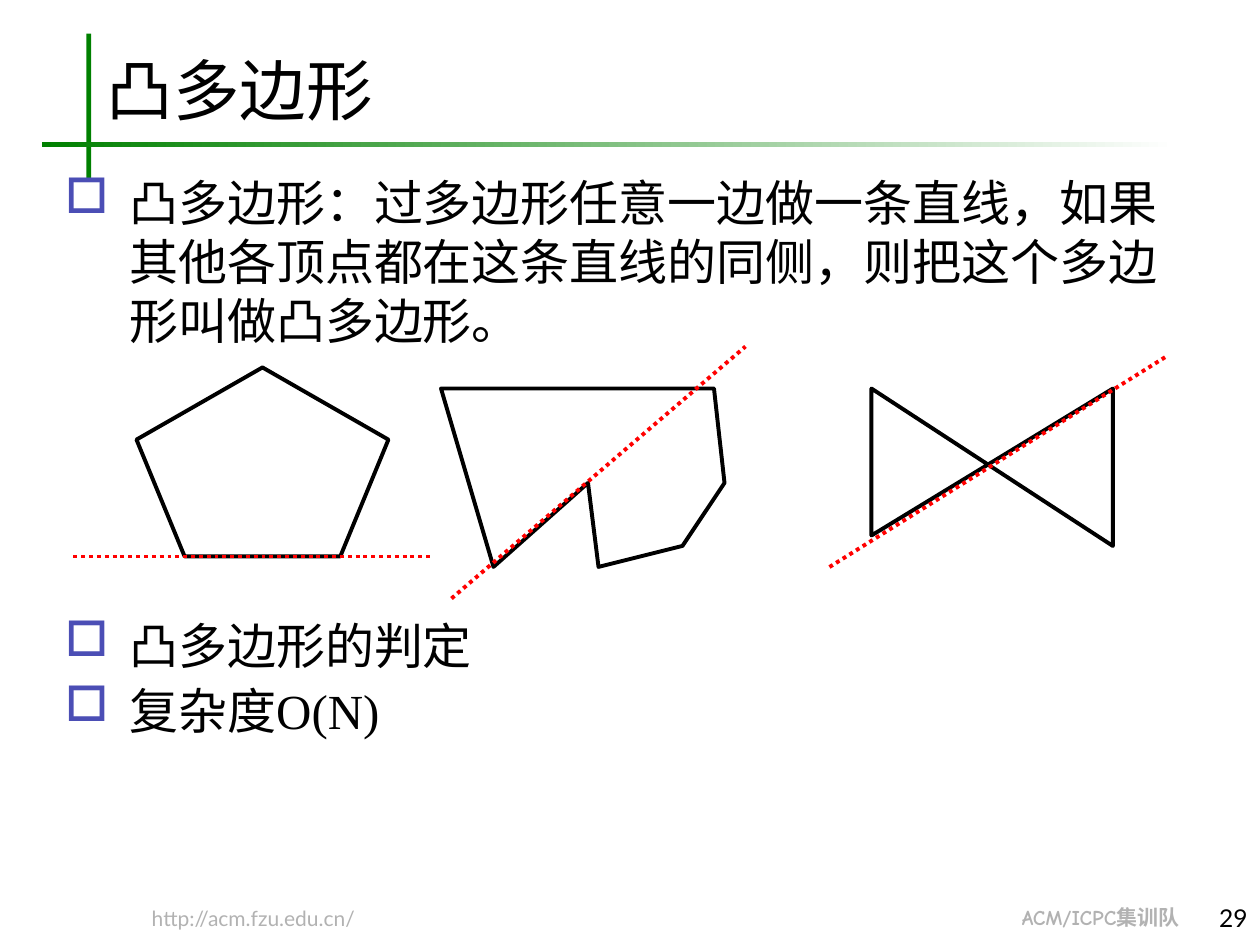
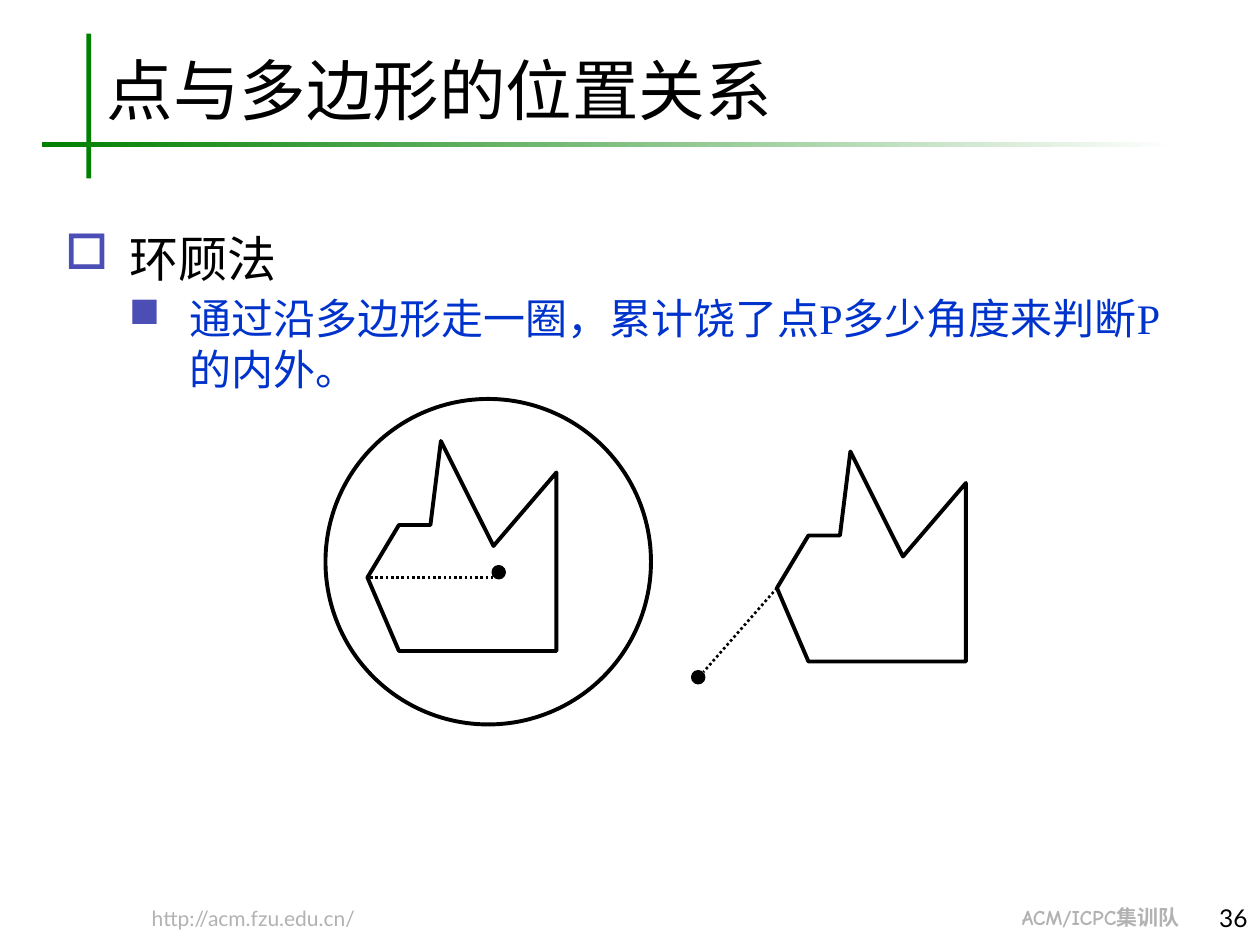
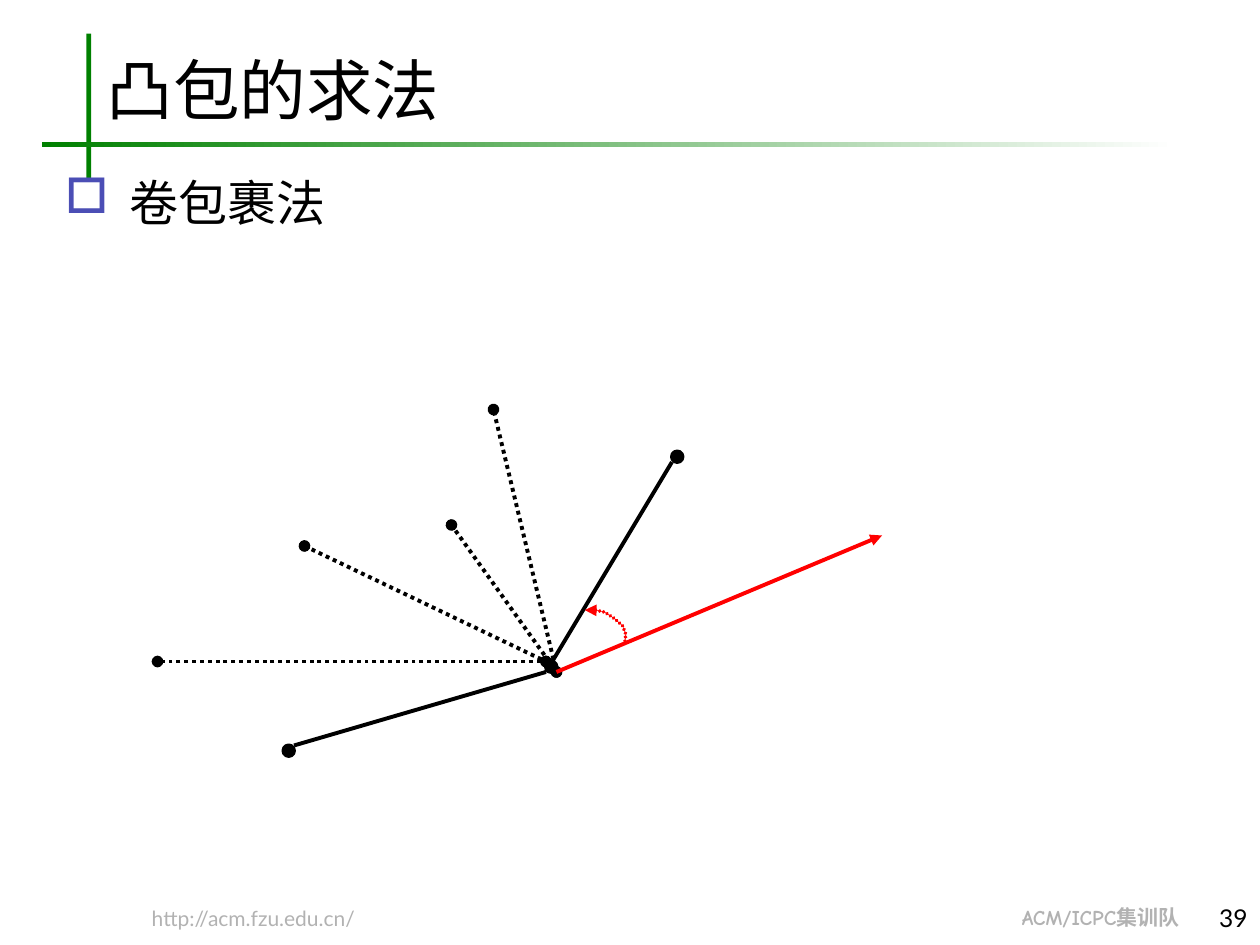
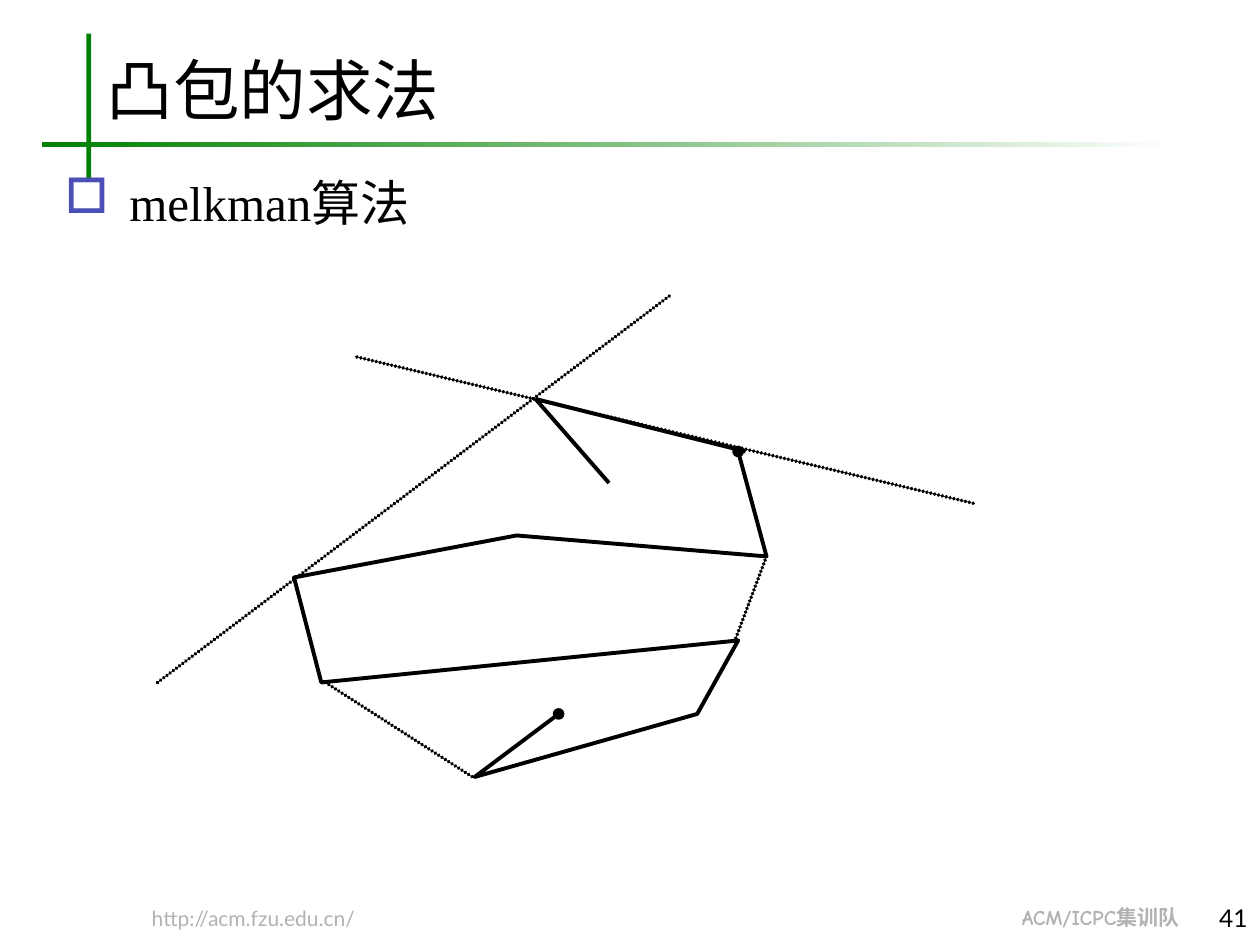
from lxml import etree
from pptx import Presentation
from pptx.dml.color import RGBColor
from pptx.enum.dml import MSO_LINE
from pptx.enum.shapes import MSO_CONNECTOR, MSO_SHAPE
from pptx.enum.text import MSO_ANCHOR, PP_ALIGN
from pptx.oxml.ns import qn
from pptx.util import Cm, Pt

COLORS = {
    "ink": "000000",
    "accent": "008000",
    "paper": "FFFFFF",
    "footer": "B2B2B2",
    "bullet": "4B4EB5",
    "detail": "0033CC",
    "guide": "FF0000",
}

# Text styles: size, font, colour, then optional paragraph settings
STYLES = {
    "title": {"size": 38, "font": "Times New Roman", "color": "ink"},
    "point": {"size": 28, "font": "Times New Roman", "color": "ink",
              "bullet": "□", "indent": 1.3, "hang": 1.3},
    "detail": {"size": 24, "font": "Times New Roman", "color": "detail",
               "bullet": "■", "indent": 2.51, "hang": 1.22, "level": 1},
    "address": {"size": 12, "font": "Lato", "color": "footer", "spacing": 0.8},
    "team": {"size": 12, "font": "Comic Neue", "color": "footer",
             "spacing": 0.8, "bold": True},
    "number": {"size": 14, "font": "Lato", "color": "ink", "align": PP_ALIGN.RIGHT},
}

# Figures sit on a grid of 120 by 90 steps over the slide
GRID = Cm(25.4) / 120


def add_text(slide, box, paragraphs, anchor=MSO_ANCHOR.TOP, margin=0.13):
    """Add a text box; each paragraph is (style, text, points before)."""
    frame = slide.shapes.add_textbox(*[Cm(length) for length in box]).text_frame
    frame.word_wrap = True
    frame.vertical_anchor = anchor
    frame.margin_left = frame.margin_right = Cm(0.25)
    frame.margin_top = frame.margin_bottom = Cm(margin)
    for index, (style_name, text, before) in enumerate(paragraphs):
        style = STYLES[style_name]
        paragraph = frame.add_paragraph() if index else frame.paragraphs[0]
        paragraph.alignment = style.get("align", PP_ALIGN.LEFT)
        paragraph.level = style.get("level", 0)
        paragraph.line_spacing = style.get("spacing", 1.0)
        paragraph.space_before = Pt(before)
        if "bullet" in style:
            properties = paragraph._p.get_or_add_pPr()
            properties.set("marL", str(Cm(style["indent"])))
            properties.set("indent", str(-Cm(style["hang"])))
            bullet_color = etree.SubElement(properties, qn("a:buClr"))
            etree.SubElement(bullet_color, qn("a:srgbClr"), val=COLORS["bullet"])
            etree.SubElement(properties, qn("a:buFont"), typeface="OpenSymbol")
            etree.SubElement(properties, qn("a:buChar"), char=style["bullet"])
        run = paragraph.add_run()
        run.text = text
        run.font.size = Pt(style["size"])
        run.font.name = style["font"]
        run.font.bold = style.get("bold", False)
        run.font.color.rgb = RGBColor.from_string(COLORS[style["color"]])


def draw(slide, points, color="ink", width=2.25, dotted=False, beaded=False,
         head=None, tail=None):
    """Draw a line through grid points; it closes if it ends where it began."""
    corners = [(round(x * GRID), round(y * GRID)) for x, y in points]
    if len(corners) == 2:
        stroke = slide.shapes.add_connector(MSO_CONNECTOR.STRAIGHT, *corners[0], *corners[1])
    else:
        closed = corners[0] == corners[-1]
        outline = slide.shapes.build_freeform(*corners[0])
        outline.add_line_segments(corners[1:-1] if closed else corners[1:], close=closed)
        stroke = outline.convert_to_shape()
        stroke.fill.background()
    stroke.line.color.rgb = RGBColor.from_string(COLORS[color])
    stroke.line.width = Pt(width)
    if dotted:
        stroke.line.dash_style = MSO_LINE.ROUND_DOT
    properties = stroke._element.spPr
    line = properties.find(qn("a:ln"))
    if beaded:
        line.set("cap", "rnd")
        dashes = etree.SubElement(line, qn("a:custDash"))
        etree.SubElement(dashes, qn("a:ds"), d="100000", sp="1000")
    etree.SubElement(line, qn("a:round"))
    for tag, ending in (("a:headEnd", head), ("a:tailEnd", tail)):
        if ending:
            etree.SubElement(line, qn(tag), type=ending)
    etree.SubElement(properties, qn("a:effectLst"))


presentation = Presentation()
presentation.slide_width = Cm(25.4)
presentation.slide_height = Cm(19.05)

# Page number, title, top of the body, body paragraphs
PAGES = [
    ("29", "凸多边形", 3.35, [
        ("point", "凸多边形：过多边形任意一边做一条直线，如果其他各顶点都在这条直线的同侧，"
                  "则把这个多边形叫做凸多边形。", 0),
        ("point", "凸多边形的判定", 152),
        ("point", "复杂度O(N)", 3.5),
    ]),
    ("36", "点与多边形的位置关系", 4.48, [
        ("point", "环顾法", 0),
        ("detail", "通过沿多边形走一圈，累计饶了点P多少角度来判断P的内外。", 3),
    ]),
    ("39", "凸包的求法", 3.35, [("point", "卷包裹法", 0)]),
    ("41", "凸包的求法", 3.35, [("point", "melkman算法", 0)]),
]

# Shared frame and text of every slide
slides = []
for number, title, body_top, body in PAGES:
    slide = presentation.slides.add_slide(presentation.slide_layouts[6])
    slides.append(slide)
    for box in ((1.74, 0.68, 0.1, 2.92), (0.85, 2.87, 22.86, 0.1)):
        band = slide.shapes.add_shape(MSO_SHAPE.RECTANGLE, *[Cm(length) for length in box])
        band.shadow.inherit = False
        band.line.fill.background()
        if box[2] < box[3]:
            band.fill.solid()
            band.fill.fore_color.rgb = RGBColor.from_string(COLORS["accent"])
        else:
            band.fill.gradient()
            band.fill.gradient_angle = 180
            for stop, color in zip(band.fill.gradient_stops, ("paper", "accent")):
                stop.color.rgb = RGBColor.from_string(COLORS[color])
    add_text(slide, (2.81, 18.32, 6.55, 0.46),
             [("address", "http://acm.fzu.edu.cn/", 0)], margin=0.03)
    add_text(slide, (20.35, 18.3, 4.24, 0.46),
             [("team", "ACM/ICPC集训队", 0)], margin=0.03)
    add_text(slide, (1.9, 0.84, 22.66, 1.88), [("title", title, 0)], MSO_ANCHOR.BOTTOM)
    add_text(slide, (1.06, body_top, 23.4, 17.78 - body_top), body)
    add_text(slide, (23.7, 18.08, 1.7, 0.84), [("number", number, 0)], MSO_ANCHOR.BOTTOM)

convex, location, wrapping, melkman = slides

# Preset figures: slide, preset, left, top, width, height, filled
PRESETS = [
    (convex, MSO_SHAPE.REGULAR_PENTAGON, 13, 35, 24, 18, False),
    (location, MSO_SHAPE.OVAL, 31, 38, 31, 31, False),
]
POINTS = [(location, 47, 54), (location, 66, 64),
          (wrapping, 52, 63), (wrapping, 64, 43), (wrapping, 27, 71)]
PRESETS += [(slide, MSO_SHAPE.OVAL, x, y, 1, 1, True) for slide, x, y in POINTS]
for slide, preset, *box, filled in PRESETS:
    figure = slide.shapes.add_shape(preset, *[round(length * GRID) for length in box])
    figure.shadow.inherit = False
    figure.line.color.rgb = RGBColor.from_string(COLORS["ink"])
    figure.line.width = Pt(2.25)
    if filled:
        figure.fill.solid()
        figure.fill.fore_color.rgb = RGBColor.from_string(COLORS["ink"])
    else:
        figure.fill.background()

# Convex polygons: concave and crossing outlines, each with a line along one side
draw(convex, [(42, 37), (68, 37), (69, 46), (65, 52), (57, 54), (56, 46), (47, 54), (42, 37)])
draw(convex, [(83, 37), (83, 51), (106, 37), (106, 52), (83, 37)])
for side in ([(7, 53), (41, 53)], [(43, 57), (71, 33)], [(79, 54), (111, 34)]):
    draw(convex, side, "guide", dotted=True)

# Point in polygon: the same outline with the point inside and outside
polygon = [(42, 42), (41, 50), (38, 50), (35, 55), (38, 62), (53, 62), (53, 45), (47, 52), (42, 42)]
for dx, dy, sight in ((0, 0, [(47, 55), (35, 55)]), (39, 1, [(74, 56), (67, 64)])):
    draw(location, [(x + dx, y + dy) for x, y in polygon])
    draw(location, sight, width=1.5, dotted=True)

# Gift wrapping: hull edges, candidates, current direction and turning angle
for edge in ([(28, 71), (52, 64)], [(64, 44), (52, 64)]):
    draw(wrapping, edge)
for candidate in ([(52, 63), (15, 63)], [(52, 63), (29, 52)],
                  [(53, 64), (47, 39)], [(53, 64), (43, 50)]):
    draw(wrapping, candidate, dotted=True, head="oval", tail="oval")
draw(wrapping, [(53, 64), (84, 51)], "guide", tail="triangle")
draw(wrapping, [(55.7, 58.1), (56.7, 58.1), (57.6, 58.3), (58.5, 58.9),
                (59.3, 59.6), (59.6, 60.4), (59.5, 61.3)],
     "guide", beaded=True, head="triangle")

# Melkman: extended sides, new edges, the chain and its closing sides
for extension in ([(15, 65), (64, 28)], [(34, 34), (93, 48)]):
    draw(melkman, extension, beaded=True)
for edge_end in ((58, 46), (71, 43)):
    draw(melkman, [(51, 38), edge_end])
draw(melkman, [(70.3, 43), (73, 53), (49.2, 51), (28, 55), (30.6, 65),
               (70.3, 61), (66.4, 68), (45.2, 74), (53.2, 68)], head="oval", tail="oval")
for closing_side in ([(31, 65), (45, 74)], [(73, 53), (70, 61)]):
    draw(melkman, closing_side, beaded=True)

presentation.save("out.pptx")
